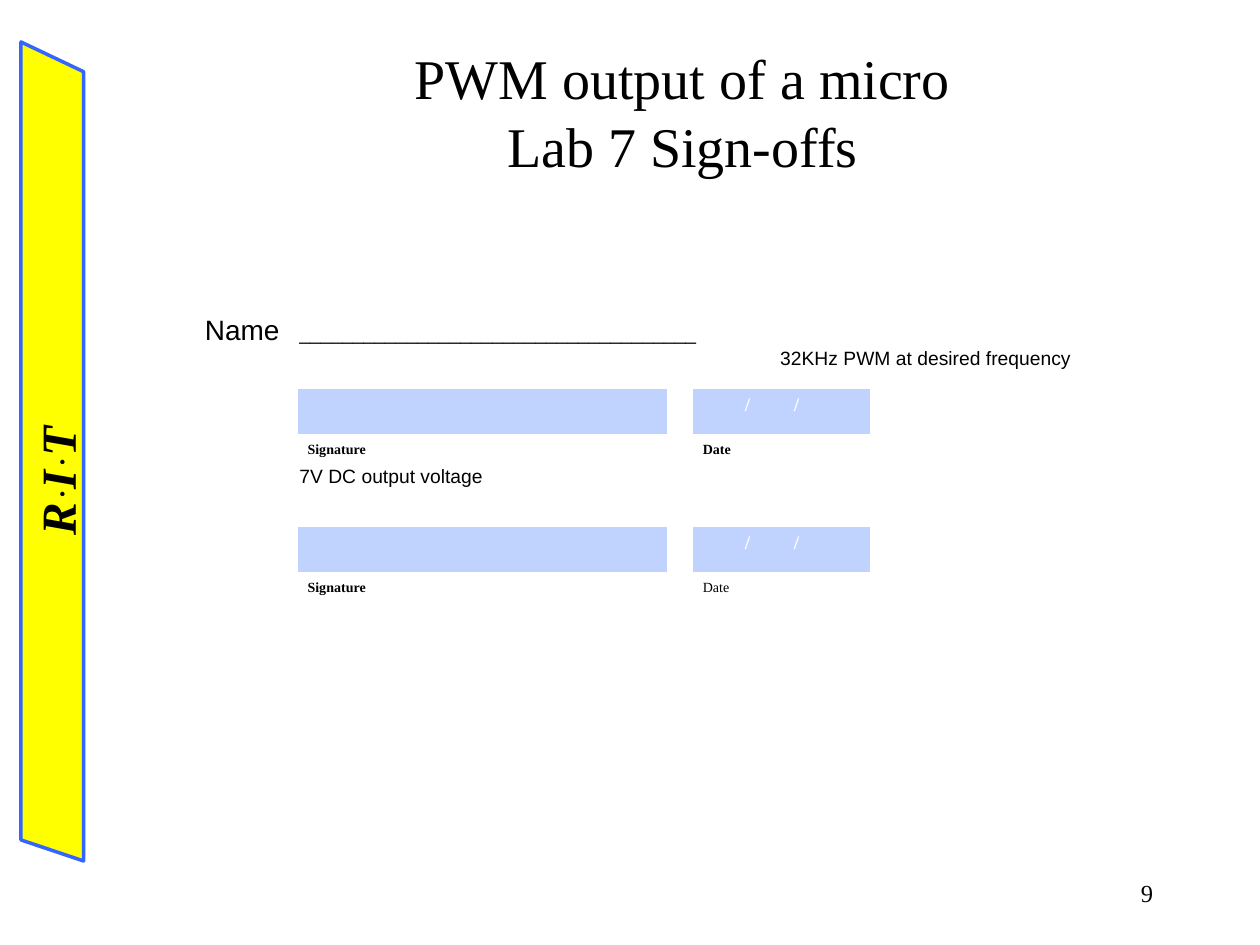
from dataclasses import dataclass
from typing import Any

from pptx import Presentation, util as u
from pptx.dml.color import RGBColor
from pptx.enum import text as t
from pptx.oxml import ns, xmlchemy as x

Pt = u.Pt
SERIF, SANS = "Times New Roman", "Arial"
BLACK, WHITE, BLUE = "000000", "FFFFFF", "C0D2FE"


@dataclass
class Run:
    text: str
    size: float
    face: str = SERIF
    bold: bool = False
    slant: bool = False
    color: str = BLACK
    lift: int = 0


@dataclass
class Para:
    runs: list[Run]
    form: dict[str, Any]
    tabs: tuple[tuple[float, str], ...] = ()


@dataclass
class Box:
    left: float
    top: float
    width: float
    height: float
    paras: list[Para]
    anchor: Any = t.MSO_ANCHOR.MIDDLE
    turn: float = 0


@dataclass
class Sign:
    top: float
    bold: bool


def rgb(code: str) -> RGBColor:
    return RGBColor.from_string(code)


def put(obj: Any, form: dict[str, Any]) -> None:
    for key, val in form.items():
        setattr(obj, key, val)


def add(root: Any, tag: str, **attrs: str) -> Any:
    node = x.OxmlElement(tag)
    for key, val in attrs.items():
        node.set(key, val)
    root.append(node)
    return node


def write(frame: Any, paras: list[Para]) -> None:
    for i, item in enumerate(paras):
        par = frame.add_paragraph() if i else frame.paragraphs[0]
        if item.tabs:
            stops = add(par._p.get_or_add_pPr(), "a:tabLst")
            for pos, side in item.tabs:
                add(stops, "a:tab", pos=str(Pt(pos)), algn=side)
        put(par, item.form)
        for part in item.runs:
            if part.text == "\v":
                par.add_line_break()
                continue
            run = par.add_run()
            run.text = part.text
            put(run.font, {"size": Pt(part.size), "name": part.face,
                           "bold": part.bold, "italic": part.slant})
            run.font.color.rgb = rgb(part.color)
            if part.lift:
                run._r.get_or_add_rPr().set("baseline", str(part.lift * 1000))


def draw_box(slide: Any, box: Box) -> None:
    shape = slide.shapes.add_textbox(
        Pt(box.left), Pt(box.top), Pt(box.width), Pt(box.height))
    shape.rotation = box.turn
    put(shape.text_frame, {"word_wrap": True, "vertical_anchor": box.anchor})
    write(shape.text_frame, box.paras)


def edge(cell: Any, low: bool) -> None:
    props = cell._tc.get_or_add_tcPr()
    thick = "a:lnT" if low else "a:lnB"
    for i, tag in enumerate(("a:lnL", "a:lnR", "a:lnT", "a:lnB")):
        line = x.OxmlElement(tag)
        line.set("w", str(Pt(1.47 if tag == thick else 0.45)))
        add(add(line, "a:solidFill"), "a:srgbClr", val=WHITE)
        props.insert(i, line)


def draw_sign(slide: Any, sign: Sign) -> None:
    cols, rows = (211.5, 13.5, 101.5), (27, 9.5)
    grid = slide.shapes.add_table(
        2, 3, Pt(170), Pt(sign.top), Pt(sum(cols)), Pt(sum(rows))).table
    put(grid, {"first_row": False, "horz_banding": False})
    for col, wide in zip(grid.columns, cols):
        col.width = Pt(wide)
    for row, tall in zip(grid.rows, rows):
        row.height = Pt(tall)
    slots = {
        (0, 2): Para([Run("\t/\t/", 11, bold=True, color=WHITE)], {},
                     ((24, "l"), (52, "l"))),
        (1, 0): Para([Run("Signature", 8, bold=True)], {}),
        (1, 2): Para([Run("Date", 8, bold=sign.bold)], {}),
    }
    for r in range(2):
        for c in range(3):
            cell = grid.cell(r, c)
            put(cell, {"margin_left": Pt(5.76), "margin_right": Pt(5.76),
                       "margin_top": Pt(3.6), "margin_bottom": Pt(3.6)})
            cell.fill.solid()
            cell.fill.fore_color.rgb = rgb(BLUE if r == 0 and c != 1 else WHITE)
            edge(cell, r == 1)
            if (r, c) in slots:
                write(cell.text_frame, [slots[r, c]])
            else:
                par = cell.text_frame.paragraphs[0]._p
                add(par, "a:endParaRPr", sz="800")


def draw_bar(slide: Any) -> None:
    pen = slide.shapes.build_freeform(Pt(47.75), Pt(41))
    pen.add_line_segments(
        [(Pt(a), Pt(b)) for a, b in ((12, 24), (12, 480), (47.75, 492))])
    bar = pen.convert_to_shape()
    bar.shadow.inherit = False
    bar.fill.solid()
    bar.fill.fore_color.rgb = rgb("FFFF00")
    bar.line.color.rgb = rgb("3366FF")
    bar.line.width = Pt(2)
    add(bar.line._get_or_add_ln(), "a:round")


def main() -> None:
    deck = Presentation()
    put(deck, {"slide_width": Pt(720), "slide_height": Pt(540)})
    slide = deck.slides.add_slide(deck.slide_layouts[6])

    # Side banner
    draw_bar(slide)
    gap = [Run(" ", 10, SANS, True, True), Run("● ", 10, SANS, lift=60)]
    big = [Run(mark, 28, bold=True, slant=True) for mark in "RIT"]
    draw_box(slide, Box(-25.5, 234.75, 115.5, 41, [
        Para([big[0], *gap, big[1], *gap, big[2]], {})],
        t.MSO_ANCHOR.TOP, 270))

    # Page number and title
    draw_box(slide, Box(516, 492, 150, 36, [
        Para([Run("9", 14)], {"alignment": t.PP_ALIGN.RIGHT})]))
    draw_box(slide, Box(108, 18, 564, 90, [
        Para([Run("PWM output of a micro", 32), Run("\v", 32),
              Run("Lab 7 Sign-offs", 32)],
             {"alignment": t.PP_ALIGN.CENTER, "line_spacing": Pt(39)})]))

    # Name line and tasks
    left, right = ((54, "l"),), ((495, "r"),)
    draw_box(slide, Box(110, 175, 574, 168.5, [
        Para([Run("Name", 16, SANS), Run("\t" + "_" * 37, 11, SANS)], {}, left),
        Para([Run("\t32KHz PWM at desired frequency", 11, SANS)], {}, right),
        Para([Run("\t7V DC output voltage", 11, SANS)],
             {"space_before": Pt(54.5)}, left)], t.MSO_ANCHOR.TOP))

    # Signature tables
    for sign in (Sign(221.75, True), Sign(300.5, False)):
        draw_sign(slide, sign)

    deck.save("out.pptx")


if __name__ == "__main__":
    main()
